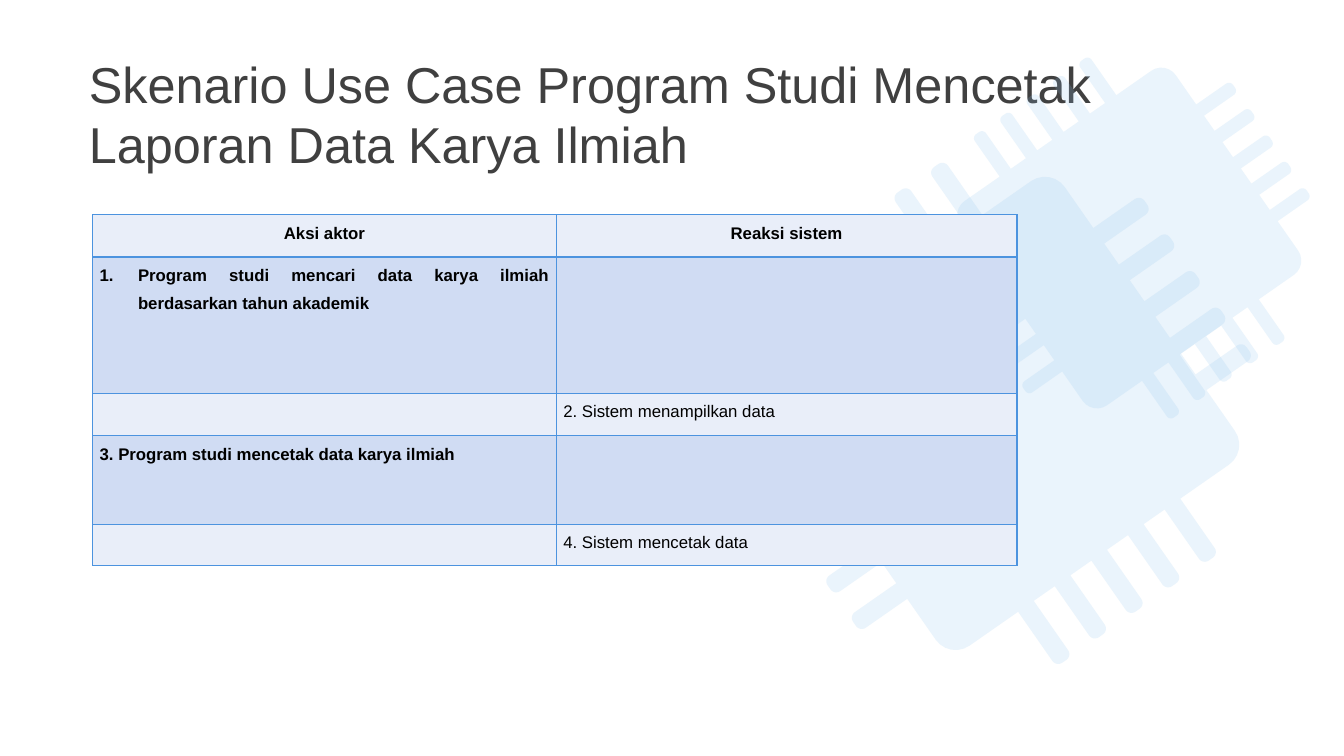
from dataclasses import dataclass
from math import cos, pi, sin

from lxml import etree
from pptx import Presentation
from pptx.dml.color import RGBColor
from pptx.enum import text
from pptx.oxml import ns
from pptx.util import Pt

COLORS = {
    "chip": "8FC4EF",
    "title": "404040",
    "ink": "000000",
    "border": "4C93DF",
    "light": "E9EEF9",
    "dark": "D0DCF3",
}
FONT = "Arial"
PIN_COUNT = 5
ARC_STEPS = 6


@dataclass
class Chip:
    x: float
    y: float
    scale: float


@dataclass
class Entry:
    row: int
    col: int
    words: str
    bold: bool = True
    align: text.PP_ALIGN = text.PP_ALIGN.JUSTIFY
    after: float = 0
    numbered: bool = False


CHIPS = [Chip(714.5, 295.3, 1), Chip(806.6, 170, 0.72)]
COL_WIDTHS = [331.2, 329]
ROW_HEIGHTS = [30.2, 97.2, 30.2, 63.4, 29.5]
ENTRIES = [
    Entry(0, 0, "Aksi aktor", align=text.PP_ALIGN.CENTER, after=10),
    Entry(0, 1, "Reaksi sistem", align=text.PP_ALIGN.CENTER, after=10),
    Entry(1, 0, "Program studi mencari data karya ilmiah berdasarkan tahun akademik",
          numbered=True),
    Entry(2, 1, "2. Sistem menampilkan data", bold=False),
    Entry(3, 0, "3. Program studi mencetak data karya ilmiah"),
    Entry(4, 1, "4. Sistem mencetak data", bold=False),
]


def rgb(name: str) -> RGBColor:
    return RGBColor.from_string(COLORS[name])


def assign(target, values: dict) -> None:
    for name, value in values.items():
        setattr(target, name, value)


def format_font(font, size: float, color: str, bold: bool) -> None:
    assign(font, {"name": FONT, "size": Pt(size), "bold": bold})
    font.color.rgb = rgb(color)


def corner(x: float, y: float, radius: float) -> list:
    angles = [pi / 2 * i / ARC_STEPS for i in range(ARC_STEPS + 1)]
    return [(x - radius + radius * sin(a), y - radius + radius * cos(a))
            for a in angles]


def chip_side(half: float, edge: float) -> list:
    tip, pin, pitch = 171.4, 6.8, 31.9
    points = []
    for i in range(PIN_COUNT):
        center = (i - (PIN_COUNT - 1) / 2) * pitch
        right = corner(pin, tip, 5)
        left = [(-x, y) for x, y in reversed(right)]
        profile = [(-pin, edge), *left, *right, (pin, edge)]
        points += [(center + x, y) for x, y in profile]
    return points + corner(half, edge, 17.3)


def chip_outline() -> list:
    width, height = 130.3, 123.5
    across, along = chip_side(width, height), chip_side(height, width)
    return ([(a, -d) for a, d in across] + [(d, a) for a, d in along]
            + [(-a, d) for a, d in across] + [(-d, -a) for a, d in along])


def add_chip(slide, chip: Chip) -> None:
    points = [(Pt(chip.x + x * chip.scale), Pt(chip.y + y * chip.scale))
              for x, y in chip_outline()]
    builder = slide.shapes.build_freeform(*points[0], scale=1.0)
    builder.add_line_segments(points[1:], close=True)
    sp = builder.convert_to_shape()
    sp.rotation = 325.1
    sp.shadow.inherit = False
    sp.line.fill.background()
    sp.fill.solid()
    sp.fill.fore_color.rgb = rgb("chip")
    color = sp._element.spPr.find(ns.qn("a:solidFill")).find(ns.qn("a:srgbClr"))
    etree.SubElement(color, ns.qn("a:alpha"), val="18000")


def add_title(slide) -> None:
    sp = slide.shapes.title
    assign(sp, {"left": Pt(56.2), "top": Pt(33.8),
                "width": Pt(811.4), "height": Pt(94.3)})
    tf = sp.text_frame
    assign(tf, {"word_wrap": True, "vertical_anchor": text.MSO_ANCHOR.MIDDLE,
                "auto_size": text.MSO_AUTO_SIZE.NONE})
    p = tf.paragraphs[0]
    p.alignment = text.PP_ALIGN.LEFT
    r = p.add_run()
    r.text = "Skenario Use Case Program Studi Mencetak Laporan Data Karya Ilmiah"
    format_font(r.font, 36, "title", False)


def format_cell(cell, fill: str) -> None:
    assign(cell, {"margin_left": Pt(5), "margin_right": Pt(5),
                  "margin_top": 0, "margin_bottom": 0})
    cell.fill.solid()
    cell.fill.fore_color.rgb = rgb(fill)
    props = cell._tc.get_or_add_tcPr()
    for i, side in enumerate(("lnL", "lnR", "lnT", "lnB")):
        line = etree.Element(ns.qn(f"a:{side}"), w=str(Pt(1)))
        solid = etree.SubElement(line, ns.qn("a:solidFill"))
        etree.SubElement(solid, ns.qn("a:srgbClr"), val=COLORS["border"])
        props.insert(i, line)


def fill_entry(cell, entry: Entry) -> None:
    p = cell.text_frame.paragraphs[0]
    assign(p, {"alignment": entry.align, "line_spacing": 1.5,
               "space_after": Pt(entry.after)})
    if entry.numbered:
        props = p._p.get_or_add_pPr()
        indent = Pt(27.4)
        props.set("marL", str(indent))
        props.set("indent", str(-indent))
        etree.SubElement(props, ns.qn("a:buFont"), typeface="+mj-lt")
        etree.SubElement(props, ns.qn("a:buAutoNum"), type="arabicPeriod")
    r = p.add_run()
    r.text = entry.words
    format_font(r.font, 12, "ink", entry.bold)


def add_scenario_table(slide) -> None:
    frame = slide.shapes.add_table(
        len(ROW_HEIGHTS), len(COL_WIDTHS), Pt(66.2), Pt(153.4),
        Pt(sum(COL_WIDTHS)), Pt(sum(ROW_HEIGHTS)))
    table = frame.table
    for column, width in zip(table.columns, COL_WIDTHS):
        column.width = Pt(width)
    for i, (row, height) in enumerate(zip(table.rows, ROW_HEIGHTS)):
        row.height = Pt(height)
        for cell in row.cells:
            format_cell(cell, "dark" if i % 2 else "light")
    for entry in ENTRIES:
        fill_entry(table.cell(entry.row, entry.col), entry)


def main() -> None:
    prs = Presentation()
    assign(prs, {"slide_width": Pt(960), "slide_height": Pt(540)})
    slide = prs.slides.add_slide(prs.slide_layouts[5])
    add_title(slide)
    for chip in CHIPS:
        add_chip(slide, chip)
    add_scenario_table(slide)
    prs.save("out.pptx")


if __name__ == "__main__":
    main()
